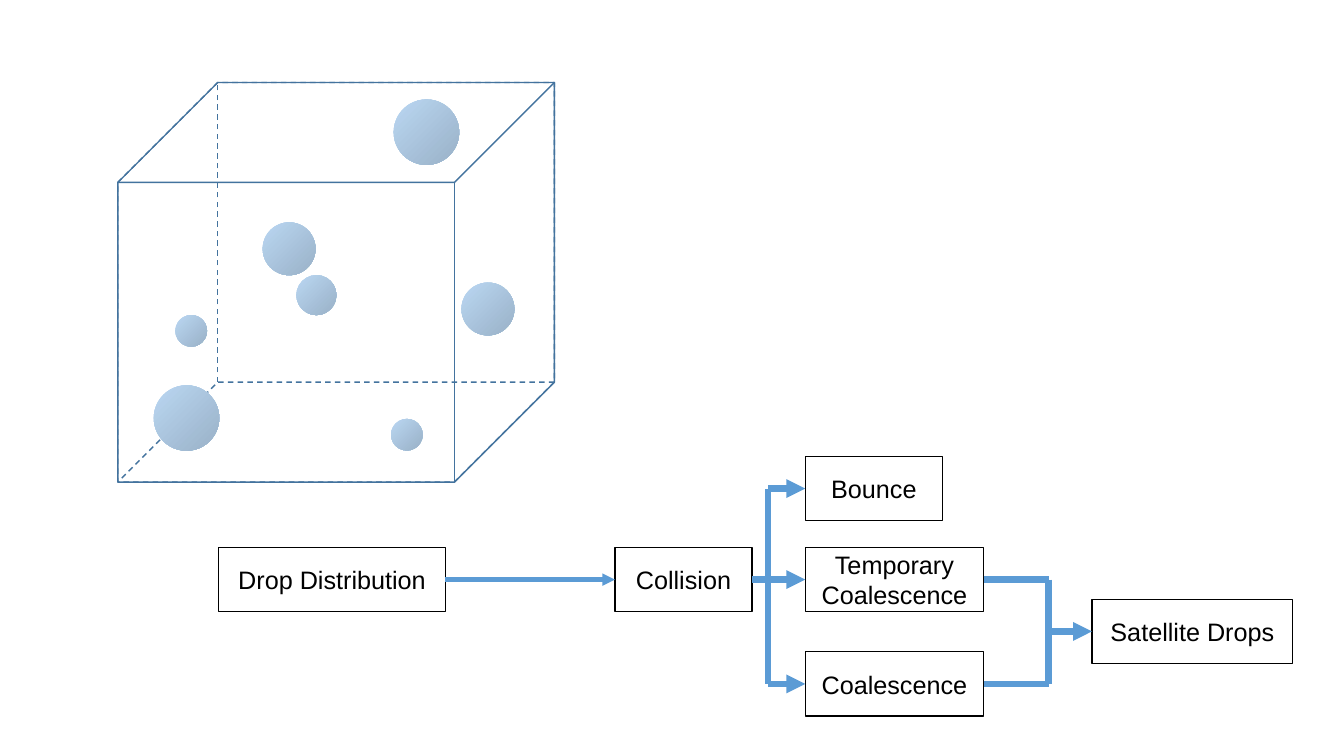
from pptx import Presentation
from pptx.dml.color import RGBColor
from pptx.enum.dml import MSO_LINE
from pptx.enum.shapes import MSO_CONNECTOR, MSO_SHAPE
from pptx.enum.text import MSO_ANCHOR, PP_ALIGN
from pptx.oxml import parse_xml
from pptx.oxml.ns import nsdecls
from pptx.oxml.xmlchemy import OxmlElement
from pptx.util import Pt

CUBE, BALL, RECT = MSO_SHAPE.CUBE, MSO_SHAPE.OVAL, MSO_SHAPE.RECTANGLE
LINE, DASH = MSO_CONNECTOR.STRAIGHT, MSO_LINE.DASH
MID, CENTER = MSO_ANCHOR.MIDDLE, PP_ALIGN.CENTER
EDGE, FLOW = "43739E", "5B9BD5"
STOPS = [(0, "6E7F8F"), (10, "9DB5CC"), (100, "BAD7F2")]

deck = Presentation()
deck.slide_width, deck.slide_height = Pt(960), Pt(540)
slide = deck.slides.add_slide(deck.slide_layouts[6])


def write(shape, text, size=18, font="Arial", color="000000"):
    frame = shape.text_frame
    frame.word_wrap = True
    frame.vertical_anchor = MID
    para = frame.paragraphs[0]
    para.alignment = CENTER
    run = para.add_run()
    run.text = text
    run.font.size, run.font.name = Pt(size), font
    run.font.color.rgb = RGBColor.from_string(color)


def link(start, end, width=4.5, arrow=True):
    """Draw a line; each end is an (x, y) point or a (box, side) pair."""
    ends = [p if isinstance(p[0], (int, float)) else (0, 0) for p in (start, end)]
    line = slide.shapes.add_connector(LINE, *[Pt(v) for p in ends for v in p])
    for p, join in ((start, line.begin_connect), (end, line.end_connect)):
        if not isinstance(p[0], (int, float)):
            join(*p)
    line.line.width = Pt(width)
    line.line.color.rgb = RGBColor.from_string(FLOW)
    line._element.spPr.append(OxmlElement("a:effectLst"))
    if arrow:
        tail = OxmlElement("a:tailEnd")
        tail.set("type", "triangle")
        line.line._get_or_add_ln().append(tail)


# Cube: solid front edges, dashed hidden edges
group = slide.shapes.add_group_shape()
for hidden in (False, True):
    cube = group.shapes.add_shape(CUBE, Pt(84.2), Pt(59), Pt(311.8), Pt(285.4))
    cube.shadow.inherit = False
    cube.fill.background()
    cube.line.width = Pt(1)
    cube.line.color.rgb = RGBColor.from_string(EDGE)
    if hidden:
        cube.line.dash_style = DASH
        for flip in ("flipH", "flipV"):
            cube._element.spPr.xfrm.set(flip, "1")

# Drops: left, top, diameter
stops = "".join(f'<a:gs pos="{pos * 1000}"><a:srgbClr val="{color}"/></a:gs>'
                for pos, color in STOPS)
shade = (f'<a:gradFill {nsdecls("a")} rotWithShape="1"><a:gsLst>{stops}</a:gsLst>'
         '<a:path path="circle"><a:fillToRect l="100000" t="100000"/></a:path>'
         '</a:gradFill>')
for left, top, size in [(109.8, 275.2, 46.8), (211.7, 196.5, 28.6),
                        (279.3, 299.2, 22.6), (281.2, 71, 46.8),
                        (329.6, 201.8, 37.8), (125.3, 225, 22.6),
                        (187.6, 158.8, 37.8)]:
    drop = slide.shapes.add_shape(BALL, Pt(left), Pt(top), Pt(size), Pt(size))
    drop.shadow.inherit = False
    drop.line.fill.background()
    drop._element.spPr.insert(2, parse_xml(shade))

# Flow boxes: text, left, middle, width
HIGH, MAIN, JOIN, LOW = 349, 414, 451, 488.5
boxes = {}
for text, left, mid, width in [("Collision", 439.2, MAIN, 98),
                               ("Bounce", 575.2, HIGH, 98),
                               ("Drop Distribution", 156.2, MAIN, 162),
                               ("Coalescence", 575.2, LOW, 127.4),
                               ("Temporary Coalescence", 575.2, MAIN, 127.4),
                               ("Satellite Drops", 780, JOIN, 143.4)]:
    box = slide.shapes.add_shape(RECT, Pt(left), Pt(mid - 23), Pt(width), Pt(46))
    box.shadow.inherit = False
    box.fill.background()
    box.line.width = Pt(1)
    box.line.color.rgb = RGBColor.from_string("000000")
    write(box, text)
    boxes[text] = box

# Flow lines: a fork after the collision, a merge before the satellites
hit, bounce, start, merge, brief, end = boxes.values()
FORK, MEET = 548.8, 749
link((start, 3), (hit, 1), width=3)
link((hit, 3), (brief, 1))
link((FORK, HIGH), (FORK, LOW), arrow=False)
link((FORK, HIGH), (bounce, 1))
link((FORK, LOW), (merge, 1))
link((MEET, JOIN), (end, 1))
link((MEET, MAIN), (MEET, LOW), arrow=False)
link((merge, 3), (MEET, LOW), arrow=False)
link((brief, 3), (MEET, MAIN), arrow=False)

deck.save("out.pptx")
